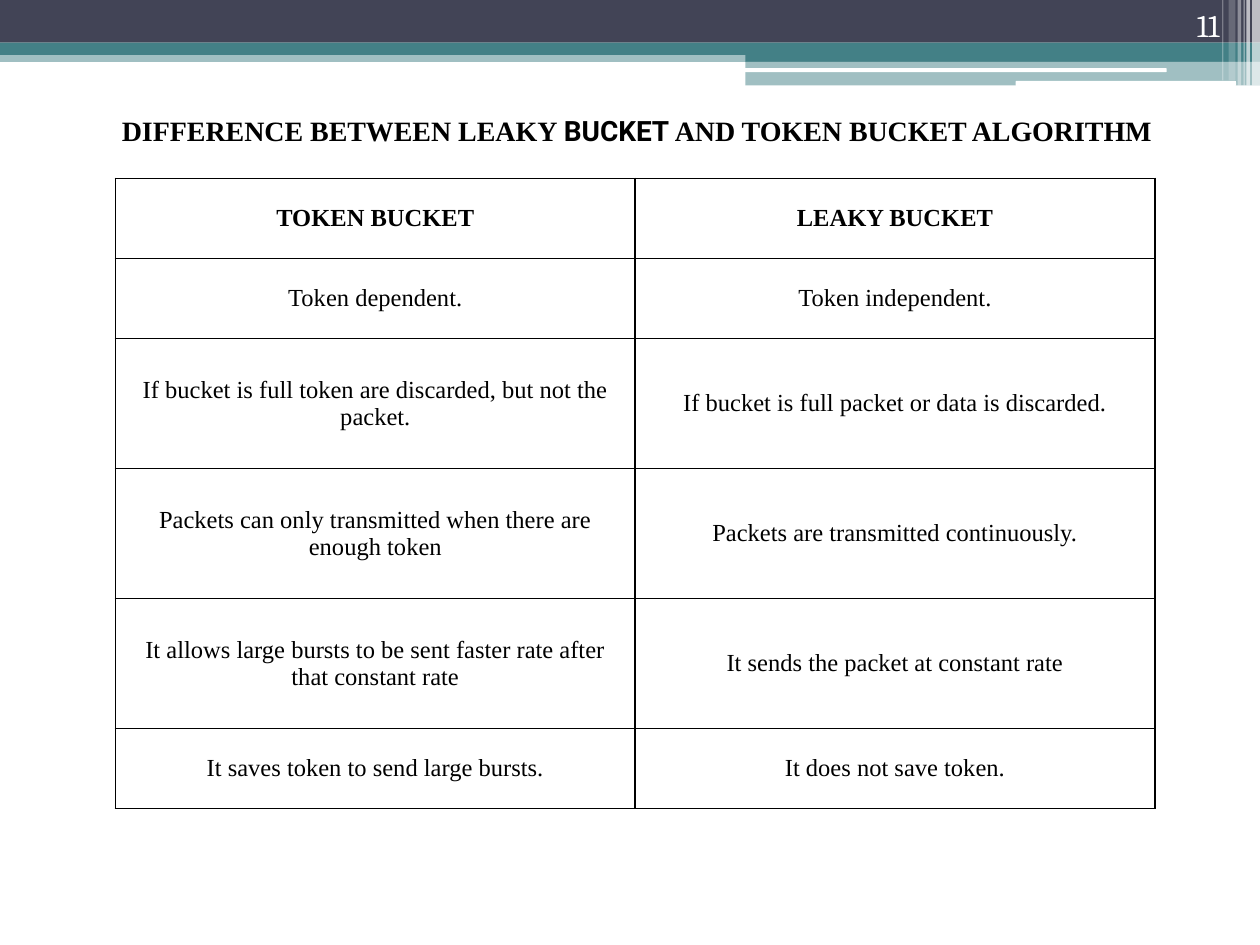
from lxml import etree
from pptx import Presentation
from pptx.dml.color import RGBColor
from pptx.enum.shapes import MSO_SHAPE
from pptx.enum.text import MSO_ANCHOR, PP_ALIGN
from pptx.oxml.ns import qn
from pptx.util import Pt

RECT, ROUND = MSO_SHAPE.RECTANGLE, MSO_SHAPE.ROUNDED_RECTANGLE
CENTER, RIGHT = PP_ALIGN.CENTER, PP_ALIGN.RIGHT
MIDDLE, BOTTOM = MSO_ANCHOR.MIDDLE, MSO_ANCHOR.BOTTOM

COLORS = {"navy": "424456", "teal": "438086", "white": "FFFFFF", "black": "000000"}
SERIF = "Times New Roman"


class Deck:
    def __init__(self, width, height):
        self.prs = Presentation()
        self.prs.slide_width, self.prs.slide_height = Pt(width), Pt(height)
        self.s = self.prs.slides.add_slide(self.prs.slide_layouts[6])

    def bar(self, x, y, w, h, color, alpha=100, kind=RECT):
        sp = self.s.shapes.add_shape(kind, Pt(x), Pt(y), Pt(w), Pt(h))
        sp.shadow.inherit = False
        sp.line.fill.background()
        sp.fill.solid()
        sp.fill.fore_color.rgb = RGBColor.from_string(COLORS[color])
        if alpha < 100:
            clr = sp._element.spPr.find(".//" + qn("a:srgbClr"))
            etree.SubElement(clr, qn("a:alpha"), val=str(alpha * 1000))

    def add_runs(self, tf, runs, size, align, color="black", bold=False):
        p = tf.paragraphs[0]
        p.alignment = align
        for text, font in runs:
            r = p.add_run()
            r.text = text
            r.font.name, r.font.size, r.font.bold = font, Pt(size), bold
            r.font.color.rgb = RGBColor.from_string(COLORS[color])

    def text(self, x, y, w, h, runs, size, align, anchor, color="black", bold=False):
        tf = self.s.shapes.add_textbox(Pt(x), Pt(y), Pt(w), Pt(h)).text_frame
        tf.word_wrap = True
        tf.vertical_anchor = anchor
        self.add_runs(tf, runs, size, align, color, bold)

    def border(self, cell, width):
        tc_pr = cell._tc.get_or_add_tcPr()
        for side in ("lnL", "lnR", "lnT", "lnB"):
            ln = etree.SubElement(tc_pr, qn("a:" + side), w=str(Pt(width)))
            fill = etree.SubElement(ln, qn("a:solidFill"))
            etree.SubElement(fill, qn("a:srgbClr"), val=COLORS["black"])

    def table(self, x, y, col_w, heights, rows, size, margin):
        cols = len(rows[0])
        tbl = self.s.shapes.add_table(len(rows), cols, Pt(x), Pt(y),
                                      Pt(col_w * cols), Pt(sum(heights))).table
        tbl.first_row = tbl.horz_banding = False
        for col in tbl.columns:
            col.width = Pt(col_w)
        for i, (height, row) in enumerate(zip(heights, rows)):
            tbl.rows[i].height = Pt(height)
            for j, text in enumerate(row):
                cell = tbl.cell(i, j)
                cell.margin_left = cell.margin_right = Pt(margin)
                cell.margin_top = cell.margin_bottom = Pt(margin)
                cell.vertical_anchor = MIDDLE
                self.border(cell, 1)
                cell.fill.background()
                self.add_runs(cell.text_frame, [(text, SERIF)], size, CENTER, bold=i == 0)


deck = Deck(720, 540)

BANDS = [
    (0, 28.8, 720, 6.6, "teal", 50),
    (0, 0, 720, 24.4, "navy"),
    (0, 24.4, 720, 7, "teal"),
    (426, 28, 294, 7.2, "teal"),
    (426, 34.9, 294, 14, "teal", 50),
    (425.5, 39, 241.2, 2.2, "white", 100, ROUND),
    (580.3, 46.3, 126, 2.9, "white", 100, ROUND),
]
for band in BANDS:
    deck.bar(*band)

STRIPES = [
    (715.5, 4.5, 49, 65),
    (712.2, 2, 49, 65),
    (710.6, 0.7, 49, 60),
    (707.2, 2, 49, 40),
    (702, 4, 46, 20),
    (698.4, 0.7, 46, 30),
]
for x, w, h, alpha in STRIPES:
    deck.bar(x, 0, w, h, "white", alpha)

deck.text(44, 60, 640, 29,
          [("DIFFERENCE BETWEEN LEAKY ", SERIF), ("BUCKET", "Roboto"),
           (" AND TOKEN BUCKET ALGORITHM", SERIF)],
          16, CENTER, MIDDLE, bold=True)
deck.text(644, 0, 60, 28.8, [("11", "Cambria")], 18, RIGHT, BOTTOM, "white")

ROWS = [
    ("TOKEN BUCKET", "LEAKY BUCKET"),
    ("Token dependent.", "Token independent."),
    ("If bucket is full token are discarded, but not the packet.",
     "If bucket is full packet or data is discarded."),
    ("Packets can only transmitted when there are enough token",
     "Packets are transmitted continuously."),
    ("It allows large bursts to be sent faster rate after that constant rate",
     "It sends the packet at constant rate"),
    ("It saves token to send large bursts.", "It does not save token."),
]
SHORT, TALL = 45.7, 74.3
deck.table(66, 102, 297, [SHORT] * 2 + [TALL] * 3 + [SHORT], ROWS, 14, 10.8)

deck.prs.save("out.pptx")
